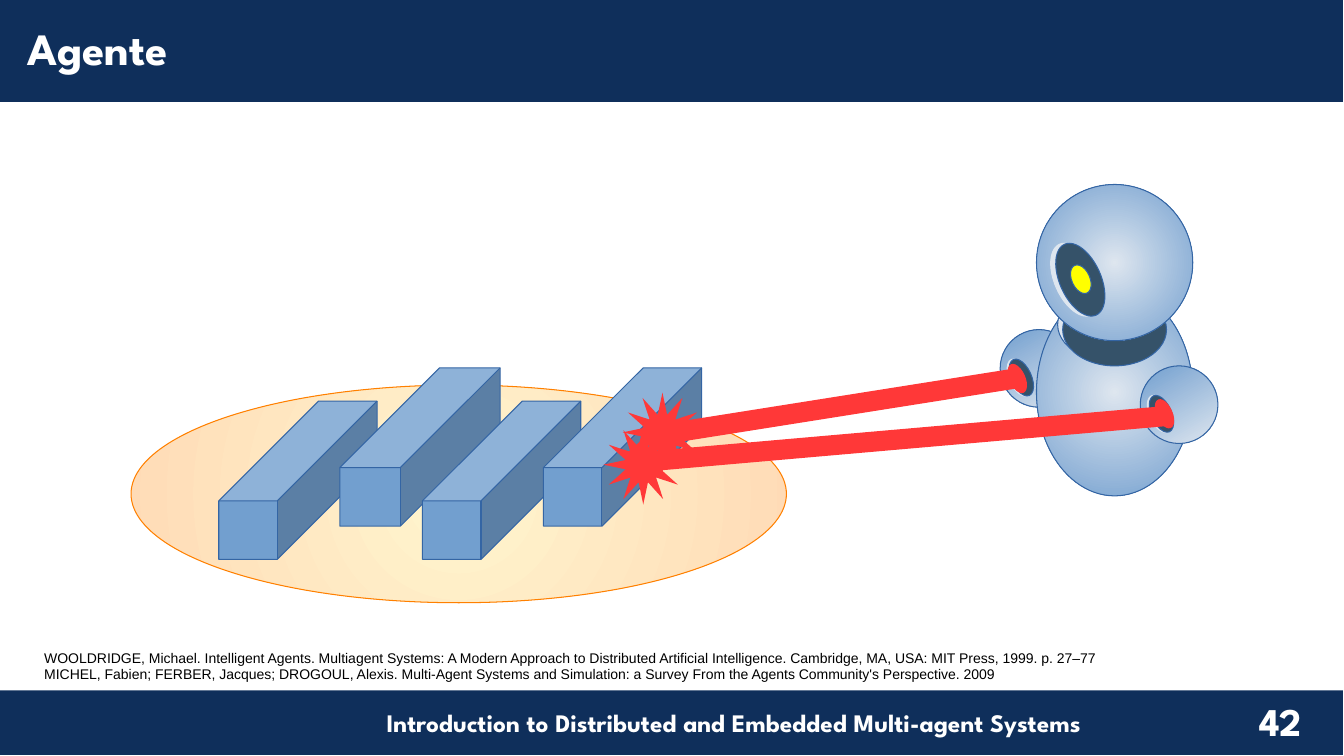
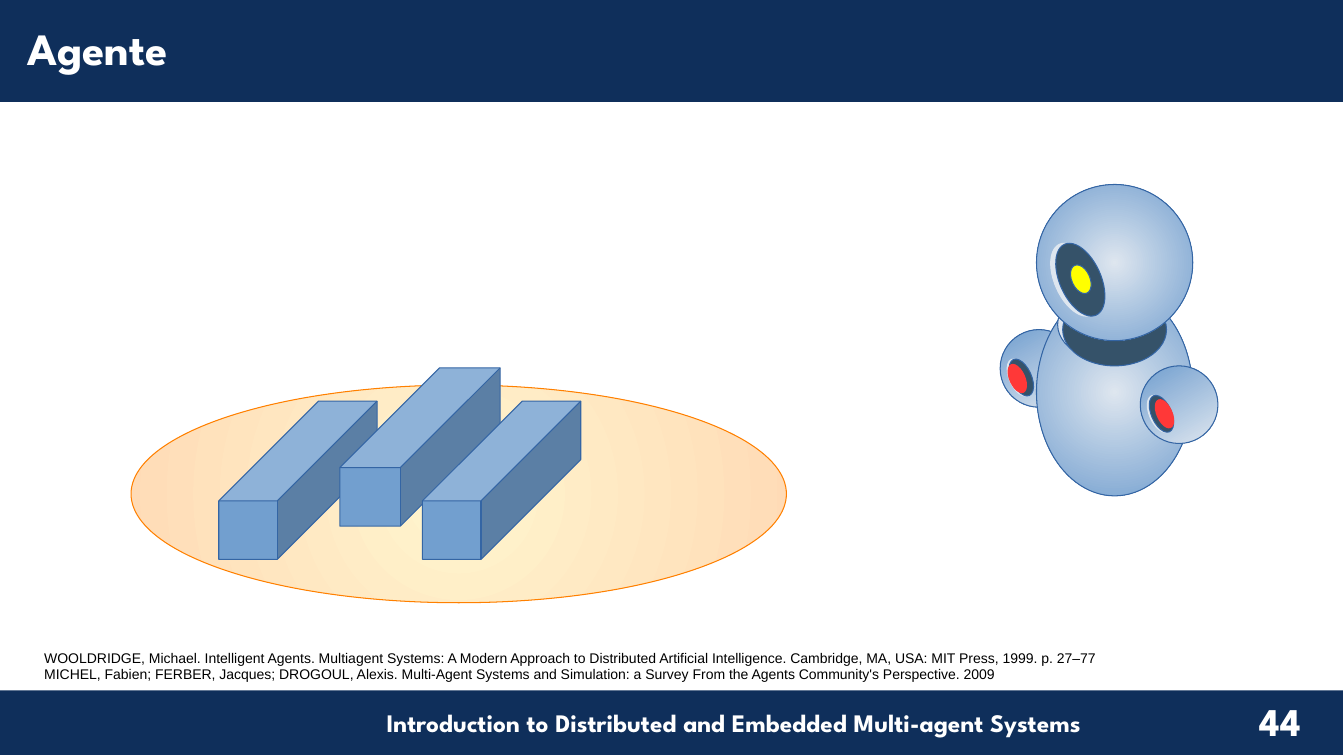
from math import cos, pi, sin

from lxml.etree import SubElement
from pptx import Presentation
from pptx.dml.color import RGBColor
from pptx.enum.shapes import MSO_SHAPE
from pptx.enum.text import MSO_ANCHOR, MSO_AUTO_SIZE, PP_ALIGN
from pptx.oxml.ns import qn
from pptx.util import Emu, Pt

PX = 9144  # EMU in one px, 100 px to the inch

NAVY = RGBColor(0x0F, 0x2F, 0x5B)
WHITE = RGBColor(0xFF, 0xFF, 0xFF)
BLACK = RGBColor(0x00, 0x00, 0x00)
STEEL = RGBColor(0x72, 0x9F, 0xCF)
STEEL_EDGE = RGBColor(0x34, 0x65, 0xA4)
SHINE = RGBColor(0xDE, 0xE6, 0xEF)
SLATE = RGBColor(0x35, 0x52, 0x69)
YELLOW = RGBColor(0xFF, 0xFF, 0x00)
RED = RGBColor(0xFF, 0x38, 0x38)
CREAM = RGBColor(0xFF, 0xF5, 0xCE)
PEACH = RGBColor(0xFF, 0xDB, 0xB6)
ORANGE = RGBColor(0xFF, 0x80, 0x00)

HEADING_FONT = "League Spartan"
BODY_FONT = "Arial"
COURSE = "Introduction to Distributed and Embedded Multi-agent Systems"
REFERENCES = [
    "WOOLDRIDGE, Michael. Intelligent Agents. Multiagent Systems: A Modern Approach to "
    "Distributed Artificial Intelligence. Cambridge, MA, USA: MIT Press, 1999. p. 27–77",
    "MICHEL, Fabien; FERBER, Jacques; DROGOUL, Alexis. Multi-Agent Systems and Simulation: "
    "a Survey From the Agents Community's Perspective. 2009",
]
BARS = [(217, 398, 157), (337, 365, 159), (419, 398, 157)]
TARGET_BAR = (539, 365, 157)
EARS = [(992, 327), (1131, 363)]
LENSES = [(1001, 360), (1147, 395)]
BEAMS = [(669, 392, 342, -9), (649, 425, 508, -5)]
BURSTS = [(657, 429), (638, 461)]
TILT = -24


def px(*lengths):
    return [Emu(round(length * PX)) for length in lengths]


def paint(shape, fill, edge=None):
    shape.shadow.inherit = False
    shape.fill.solid()
    shape.fill.fore_color.rgb = fill
    if edge is None:
        shape.line.fill.background()
    else:
        shape.line.color.rgb = edge
        shape.line.width = Emu(0)


def add_shape(shapes, kind, area, fill, edge=None, turn=0):
    shape = shapes.add_shape(kind, *px(*area))
    paint(shape, fill, edge)
    shape.rotation = turn
    return shape


def add_oval(shapes, area, fill, edge=None, turn=0):
    return add_shape(shapes, MSO_SHAPE.OVAL, area, fill, edge, turn)


def shade(shape, first, last, angle=None):
    """Blend two colours along an angle, or outwards from the centre without one."""
    shape.fill.gradient()
    for stop, colour in zip(shape.fill.gradient_stops, (first, last)):
        stop.color.rgb = colour
    if angle is not None:
        shape.fill.gradient_angle = angle
        return
    gradient = shape.element.spPr.find(qn("a:gradFill"))
    gradient.remove(gradient.find(qn("a:lin")))
    radial = SubElement(gradient, qn("a:path"), {"path": "circle"})
    SubElement(radial, qn("a:fillToRect"), dict.fromkeys("ltrb", "50000"))


def add_span(para, text, size, colour, font=HEADING_FONT, bold=True):
    span = para.add_run()
    span.text = text
    span.font.name = font
    span.font.size = Pt(size)
    span.font.bold = bold
    span.font.color.rgb = colour


def add_text_box(slide, area):
    box = slide.shapes.add_textbox(*px(*area))
    box.text_frame.word_wrap = True
    return box


def add_heading_box(slide, area, text, size):
    box = add_text_box(slide, area)
    para = box.text_frame.paragraphs[0]
    para.alignment = PP_ALIGN.CENTER
    add_span(para, text, size, WHITE)
    return box


def set_up_layout(layout, slide):
    """Draw the bands and course name on a slide, then hand them to its layout."""
    frame = [
        add_shape(slide.shapes, MSO_SHAPE.RECTANGLE, (0, 685, 1332, 64), NAVY),
        add_shape(slide.shapes, MSO_SHAPE.RECTANGLE, (0, 0, 1332, 101), NAVY),
        add_heading_box(slide, (228, 697, 1000, 40), COURSE, 18),
    ]
    for part in frame:
        layout.shapes.element.append(part.element)
    title = layout.placeholders[0]
    title.left, title.top, title.width, title.height = px(17, 16, 1316, 63)


def add_title(slide, text):
    frame = slide.shapes.title.text_frame
    frame.auto_size = MSO_AUTO_SIZE.NONE
    frame.vertical_anchor = MSO_ANCHOR.MIDDLE
    para = frame.paragraphs[0]
    para.alignment = PP_ALIGN.LEFT
    add_span(para, text, 32, WHITE)


def add_references(slide):
    frame = add_text_box(slide, (34, 639, 1279, 43)).text_frame
    for index, reference in enumerate(REFERENCES):
        para = frame.add_paragraph() if index else frame.paragraphs[0]
        add_span(para, reference, 10, BLACK, BODY_FONT, False)


def add_bar(shapes, left, top, size):
    bar = add_shape(shapes, MSO_SHAPE.CUBE, (left, top, size, size - size % 157), STEEL, STEEL_EDGE)
    bar.adjustments[0] = 0.63


def add_environment(slide):
    ground = add_oval(slide.shapes, (130, 382, 650, 216), CREAM, ORANGE)
    shade(ground, CREAM, PEACH)
    for bar in BARS:
        add_bar(slide.shapes, *bar)


def add_ear(shapes, left, top):
    ear = add_oval(shapes, (left, top, 77, 77), STEEL, STEEL_EDGE)
    shade(ear, STEEL, SHINE, 300)
    add_oval(shapes, (left + 9, top + 28, 20, 39), SHINE, SHINE, TILT)
    add_oval(shapes, (left + 11, top + 28, 20, 39), SLATE, STEEL_EDGE, TILT)


def add_ball(shapes, area):
    shade(add_oval(shapes, area, SHINE, STEEL_EDGE), SHINE, STEEL)


def add_robot(slide):
    robot = slide.shapes.add_group_shape().shapes
    far_ear, near_ear = EARS
    add_ear(robot, *far_ear)
    add_ball(robot, (1028, 286, 155, 206))
    add_oval(robot, (1049, 286, 103, 72), SHINE, STEEL_EDGE)
    add_oval(robot, (1054, 291, 103, 72), SLATE, STEEL_EDGE)
    add_ball(robot, (1028, 183, 155, 155))
    add_oval(robot, (1046, 239, 41, 77), SHINE, SHINE, TILT)
    add_oval(robot, (1051, 239, 41, 77), SLATE, STEEL_EDGE, TILT)
    add_ear(robot, *near_ear)
    add_oval(robot, (1063, 262, 18, 30), YELLOW, STEEL_EDGE, TILT)


def add_lenses(shapes):
    for left, top in LENSES:
        add_oval(shapes, (left, top, 16, 31), RED, turn=TILT)


def add_burst(shapes, centre_x, centre_y, spikes=12, outer=39.5, inner=18):
    corners = []
    for step in range(2 * spikes):
        radius = inner if step % 2 else outer
        angle = pi * step / spikes
        corners.append(px(centre_x + radius * sin(angle), centre_y - radius * cos(angle)))
    outline = shapes.build_freeform(*corners[0])
    outline.add_line_segments(corners[1:], close=True)
    paint(outline.convert_to_shape(), RED)


def add_attack(slide):
    attack = slide.shapes.add_group_shape().shapes
    add_bar(attack, *TARGET_BAR)
    for left, top, length, turn in BEAMS:
        add_shape(attack, MSO_SHAPE.RECTANGLE, (left, top, length, 20), RED, turn=turn)
    add_lenses(attack)
    for centre in BURSTS:
        add_burst(attack, *centre)


def add_agent_slide(deck, layout, number, attacking):
    slide = deck.slides.add_slide(layout)
    if len(deck.slides) == 1:
        set_up_layout(layout, slide)
    add_title(slide, "Agente")
    add_heading_box(slide, (1215, 687, 110, 63), str(number), 28)
    add_references(slide)
    add_environment(slide)
    add_robot(slide)
    if attacking:
        add_attack(slide)
    else:
        add_lenses(slide.shapes)


def main():
    deck = Presentation()
    deck.slide_width, deck.slide_height = px(1333, 750)
    layout = deck.slide_layouts.get_by_name("Title Only")
    add_agent_slide(deck, layout, 42, attacking=True)
    add_agent_slide(deck, layout, 44, attacking=False)
    deck.save("out.pptx")


if __name__ == "__main__":
    main()
